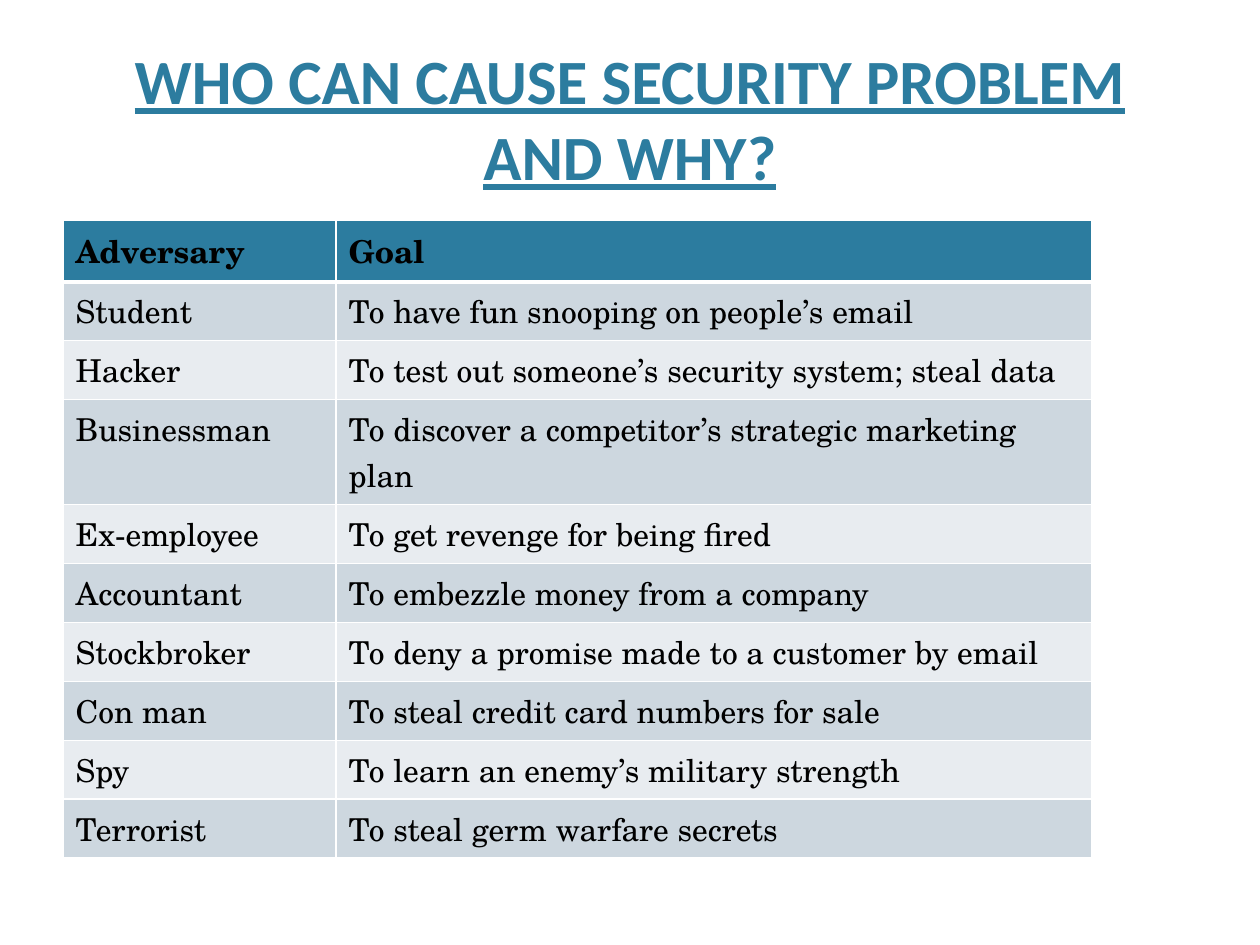
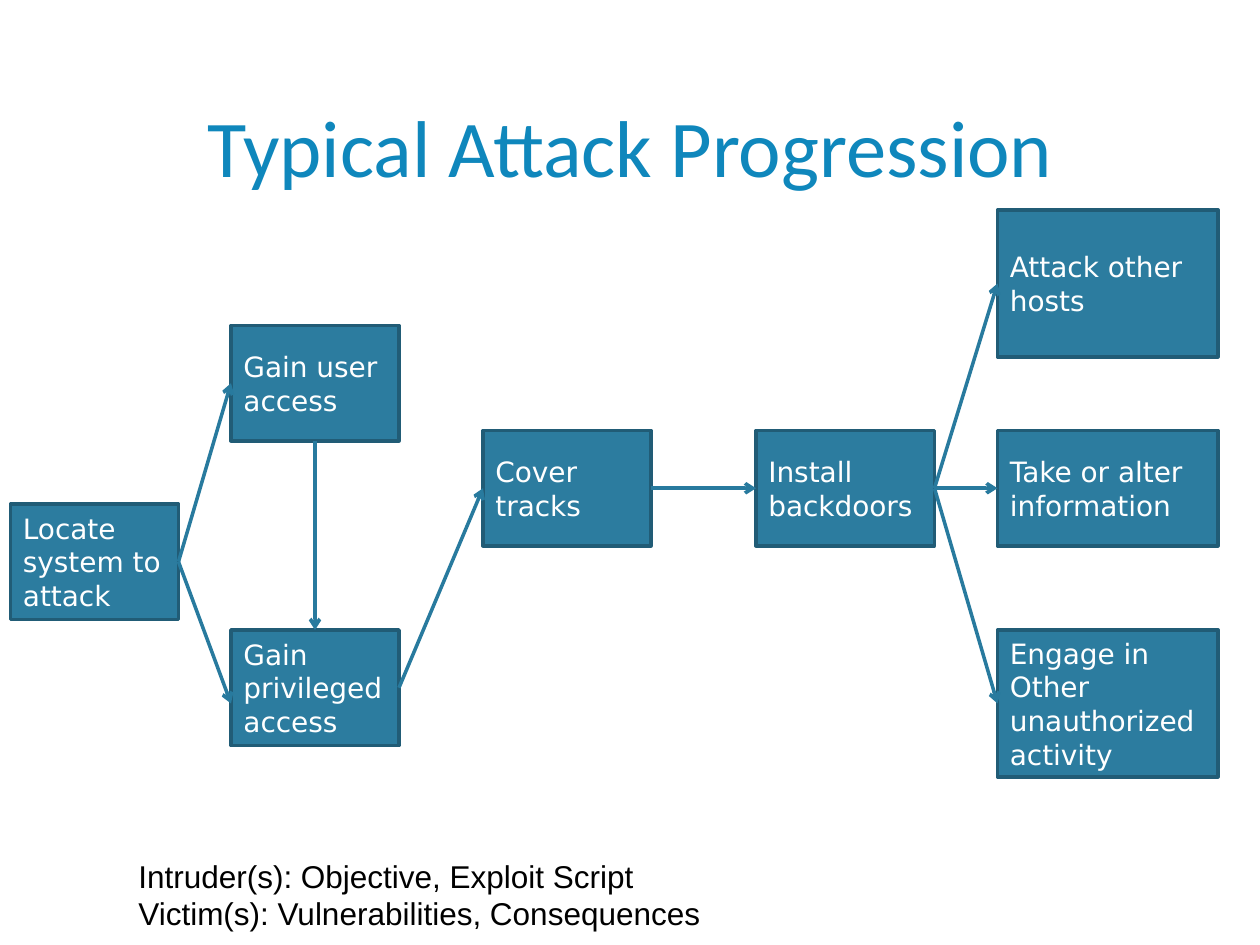
from lxml import etree
from pptx import Presentation
from pptx.dml.color import RGBColor
from pptx.enum.shapes import MSO_CONNECTOR, MSO_SHAPE
from pptx.enum.text import MSO_ANCHOR, MSO_AUTO_SIZE, PP_ALIGN
from pptx.oxml.ns import qn
from pptx.util import Inches, Pt

RECT = MSO_SHAPE.RECTANGLE
STRAIGHT = MSO_CONNECTOR.STRAIGHT
LEFT, CENTER = PP_ALIGN.LEFT, PP_ALIGN.CENTER
MIDDLE, BOTTOM = MSO_ANCHOR.MIDDLE, MSO_ANCHOR.BOTTOM
NO_FIT, GROW = MSO_AUTO_SIZE.NONE, MSO_AUTO_SIZE.SHAPE_TO_FIT_TEXT
SIDE_TOP, SIDE_LEFT, SIDE_BOTTOM, SIDE_RIGHT = range(4)

TEAL = RGBColor(0x2C, 0x7C, 0x9F)
DARK_TEAL = RGBColor(0x21, 0x5C, 0x76)
ARROW_TEAL = RGBColor(0x28, 0x7A, 0x9E)
BRIGHT_BLUE = RGBColor(0x0F, 0x87, 0xBC)
BAND_DARK = RGBColor(0xCD, 0xD7, 0xDF)
BAND_LIGHT = RGBColor(0xE8, 0xEC, 0xF0)
WHITE = RGBColor(0xFF, 0xFF, 0xFF)
BLACK = RGBColor(0, 0, 0)

TITLE_FONT, TABLE_FONT = "Calibri", "TeX Gyre Schola"
BOX_FONT, NOTE_FONT = "DejaVu Sans", "Arial"
WIDTH, HEIGHT = Inches(10), Inches(7.5)
COLUMNS, ROWS = 120, 90

ADVERSARIES = [
    ("Adversary", "Goal"),
    ("Student", "To have fun snooping on people’s email"),
    ("Hacker", "To test out someone’s security system; steal data"),
    ("Businessman", "To discover a competitor’s strategic marketing plan"),
    ("Ex-employee", "To get revenge for being fired"),
    ("Accountant", "To embezzle money from a company"),
    ("Stockbroker", "To deny a promise made to a customer by email"),
    ("Con man", "To steal credit card numbers for sale"),
    ("Spy", "To learn an enemy’s military strength"),
    ("Terrorist", "To steal germ warfare secrets"),
]

STAGES = {
    "locate": ("Locate\nsystem to\nattack", 1, 48, 16, 11),
    "user": ("Gain user\naccess", 22, 31, 16, 11),
    "privileged": ("Gain\nprivileged\naccess", 22, 60, 16, 11),
    "cover": ("Cover\ntracks", 46, 41, 16, 11),
    "install": ("Install\nbackdoors", 72, 41, 17, 11),
    "hosts": ("Attack other\nhosts", 95, 20, 21, 14),
    "information": ("Take or alter information", 95, 41, 21, 11),
    "activity": ("Engage in\nOther unauthorized\nactivity", 95, 60, 21, 14),
}


def x(columns):
    return round(WIDTH * columns / COLUMNS)


def y(rows):
    return round(HEIGHT * rows / ROWS)


def write(tf, text, font, size, color, bold=False, underline=False,
          align=LEFT, level=0, indent=None):
    for i, line in enumerate(text.split("\n")):
        p = tf.paragraphs[0] if i == 0 else tf.add_paragraph()
        p.alignment = align
        p.level = level
        if indent is not None:
            pPr = p._p.get_or_add_pPr()
            pPr.set("marL", str(x(indent)))
            pPr.set("indent", "0")
        r = p.add_run()
        r.text = line
        r.font.name = font
        r.font.size = Pt(size)
        r.font.color.rgb = color
        r.font.bold = bold
        r.font.underline = underline


def border(cell, side, points):
    ln = etree.SubElement(cell._tc.get_or_add_tcPr(), qn(f"a:ln{side}"), w=str(Pt(points)))
    fill = etree.SubElement(ln, qn("a:solidFill"))
    etree.SubElement(fill, qn("a:srgbClr"), val=str(WHITE))


class Deck:
    def __init__(self):
        self.prs = Presentation()
        self.prs.slide_width, self.prs.slide_height = WIDTH, HEIGHT
        self.s = None

    def slide(self, title, size, color, **style):
        self.s = self.prs.slides.add_slide(self.prs.slide_layouts[5])
        sp = self.s.shapes.title
        sp.left, sp.top, sp.width, sp.height = x(7.2), y(1.5), x(105.6), y(17.5)
        tf = sp.text_frame
        tf.word_wrap = True
        tf.auto_size = NO_FIT
        tf.vertical_anchor = BOTTOM
        write(tf, title, TITLE_FONT, size, color, align=CENTER, **style)

    def table(self, data, left, top, widths, row_height):
        frame = self.s.shapes.add_table(len(data), len(widths), x(left), y(top),
                                        x(sum(widths)), y(row_height * len(data)))
        table = frame.table
        for column, width in zip(table.columns, widths):
            column.width = x(width)
        for i, values in enumerate(data):
            table.rows[i].height = y(row_height)
            header = i == 0
            color = TEAL if header else (BAND_LIGHT, BAND_DARK)[i % 2]
            for j, value in enumerate(values):
                cell = table.cell(i, j)
                for side in "LRTB":
                    border(cell, side, 3 if header and side == "B" else 1)
                cell.fill.solid()
                cell.fill.fore_color.rgb = color
                write(cell.text_frame, value, TABLE_FONT, 18, BLACK, bold=header)

    def box(self, text, left, top, width, height):
        sp = self.s.shapes.add_shape(RECT, x(left), y(top), x(width), y(height))
        sp.shadow.inherit = False
        sp.fill.solid()
        sp.fill.fore_color.rgb = TEAL
        sp.line.color.rgb = DARK_TEAL
        sp.line.width = Pt(2)
        tf = sp.text_frame
        tf.word_wrap = True
        tf.vertical_anchor = MIDDLE
        write(tf, text, BOX_FONT, 16, WHITE)
        return sp

    def arrow(self, start, end, start_side=SIDE_RIGHT, end_side=SIDE_LEFT, end_row=None):
        c = self.s.shapes.add_connector(STRAIGHT, 0, 0, 0, 0)
        c.begin_connect(start, start_side)
        if end_row is None:
            c.end_connect(end, end_side)
        else:
            c.end_x, c.end_y = end.left, y(end_row)
        c.line.color.rgb = ARROW_TEAL
        c.line.width = Pt(2)
        etree.SubElement(c.line._get_or_add_ln(), qn("a:tailEnd"), type="arrow")
        etree.SubElement(c._element.spPr, qn("a:effectLst"))

    def note(self, text, left, top, width, height):
        sp = self.s.shapes.add_textbox(x(left), y(top), x(width), y(height))
        tf = sp.text_frame
        tf.word_wrap = True
        tf.auto_size = GROW
        write(tf, text, NOTE_FONT, 18, BLACK, level=1, indent=6)


def adversaries(deck):
    deck.slide("WHO CAN CAUSE SECURITY PROBLEM AND WHY?", 36, TEAL, bold=True, underline=True)
    deck.table(ADVERSARIES, 6, 21, (26, 72), 4.9)


def attack_progression(deck):
    deck.slide("Typical Attack Progression", 46, BRIGHT_BLUE)
    deck.note("Intruder(s): Objective, Exploit Script\n"
              "Victim(s): Vulnerabilities, Consequences", 6, 81, 73, 8.4)
    boxes = {name: deck.box(*stage) for name, stage in STAGES.items()}
    deck.arrow(boxes["locate"], boxes["user"])
    deck.arrow(boxes["locate"], boxes["privileged"], end_row=67)
    deck.arrow(boxes["user"], boxes["privileged"], SIDE_BOTTOM, SIDE_TOP)
    deck.arrow(boxes["privileged"], boxes["cover"])
    deck.arrow(boxes["cover"], boxes["install"])
    for outcome in ("hosts", "information", "activity"):
        deck.arrow(boxes["install"], boxes[outcome])


def main():
    deck = Deck()
    adversaries(deck)
    attack_progression(deck)
    deck.prs.save("out.pptx")


if __name__ == "__main__":
    main()
